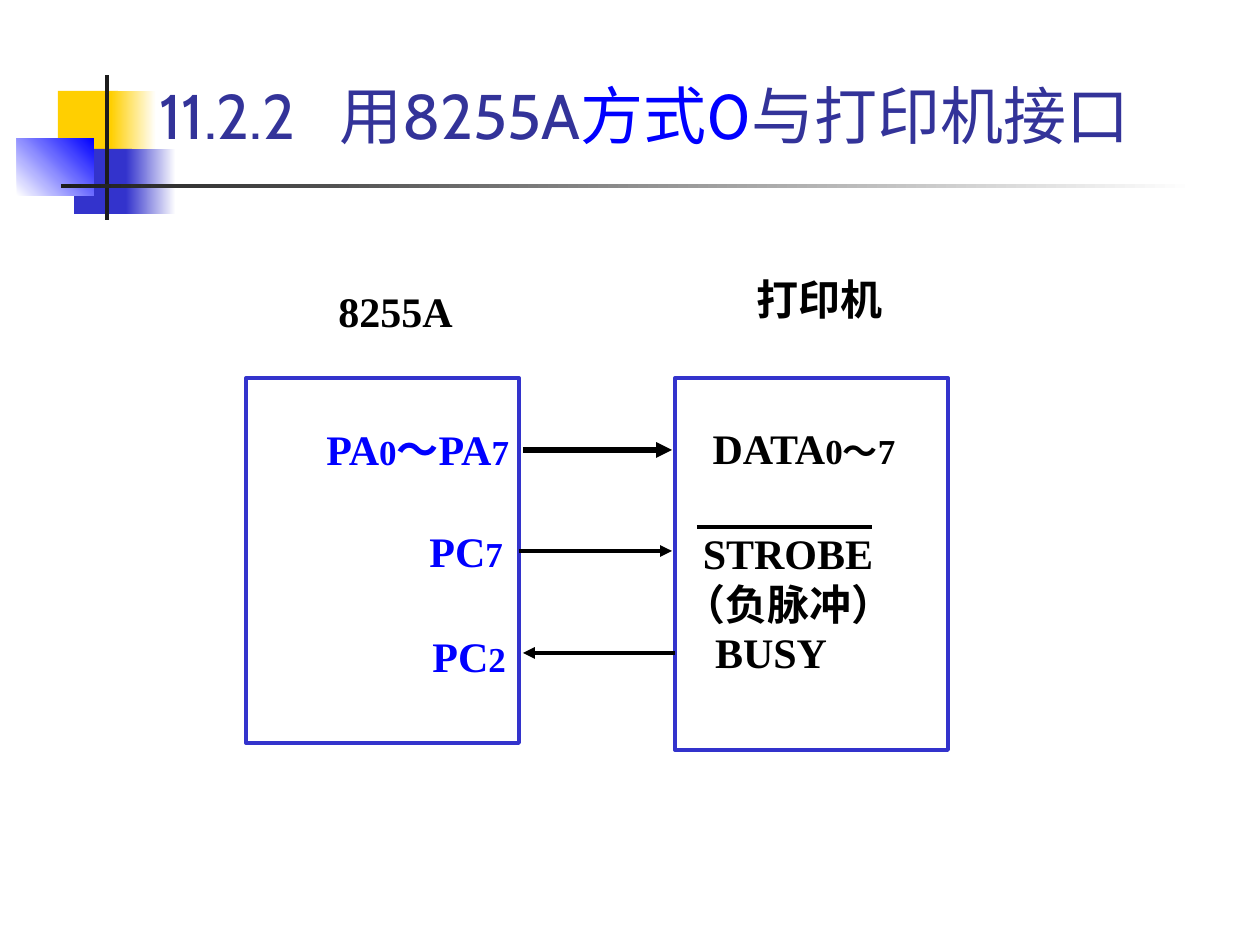
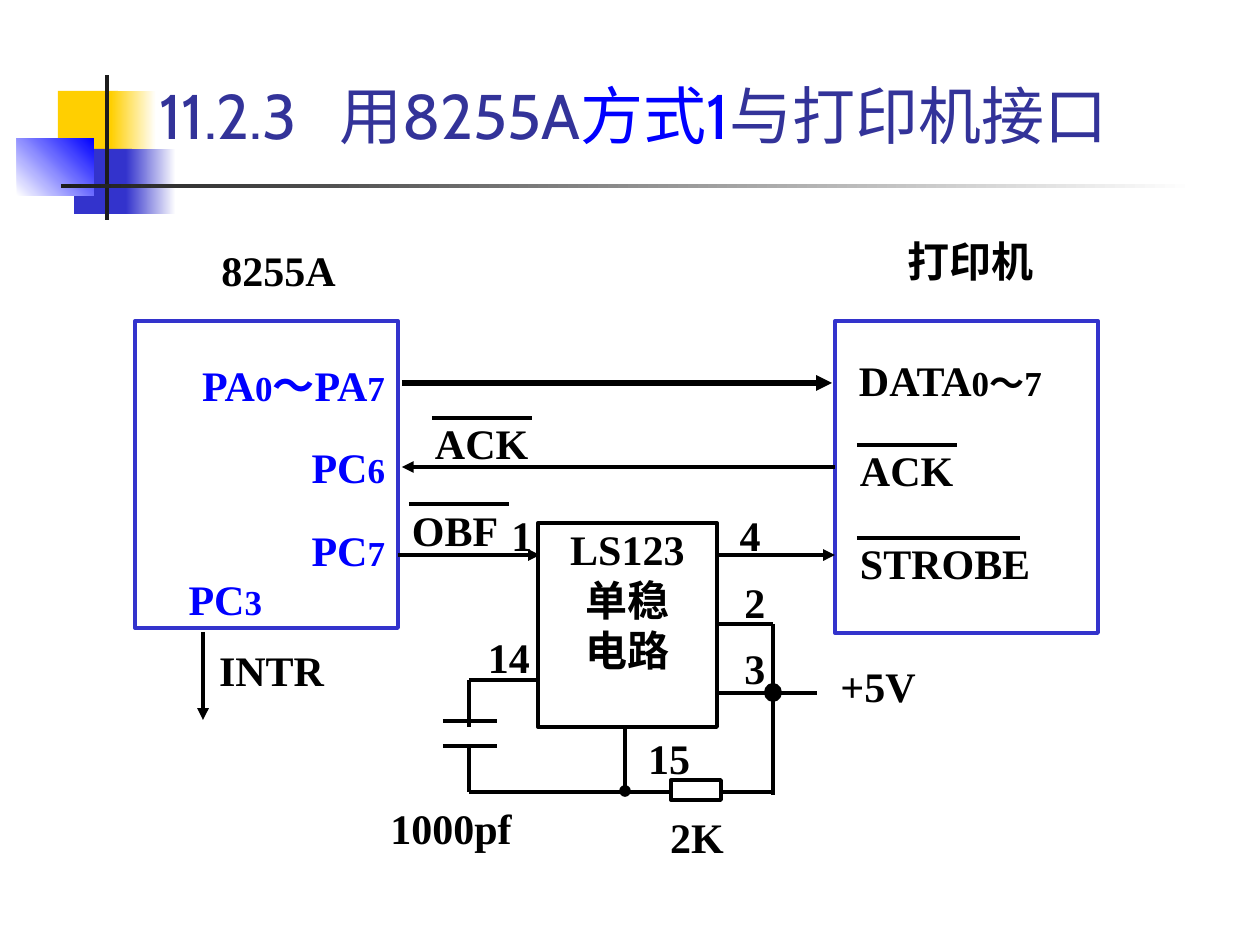
from lxml import etree
from pptx import Presentation
from pptx.dml.color import RGBColor
from pptx.enum.shapes import MSO_CONNECTOR, MSO_SHAPE
from pptx.enum.text import MSO_ANCHOR, PP_ALIGN
from pptx.oxml.ns import qn
from pptx.util import Emu, Pt

BLACK, WHITE, INK = "000000", "FFFFFF", "1C1C1C"
YELLOW, INDIGO, BLUE, NAVY = "FFCF01", "3333CC", "0000FF", "333399"
LEFT, CENTER, RIGHT = PP_ALIGN.LEFT, PP_ALIGN.CENTER, PP_ALIGN.RIGHT
BODY_FONT, TITLE_FONT = "Times New Roman", "Cabin"
BIG, SMALL = 24, 20
THIN, THICK = 2.25, 3

DATA = [("DATA", BIG), ("0～7", SMALL)]
PORT_A = [("PA", BIG), ("0", SMALL), ("～PA", BIG), ("7", SMALL)]


def px(n):
    return Emu(round(n * 914400 / 126))


def rgb(color):
    return RGBColor.from_string(color)


def port_c(bit):
    return [("PC", BIG), (bit, SMALL)]


def add_shape(s, x, y, w, h, fill=None, line=None, kind=MSO_SHAPE.RECTANGLE):
    """Fill is None, one colour, or (start, end, angle) for a gradient."""
    sp = s.shapes.add_shape(kind, px(x), px(y), px(w), px(h))
    sp.shadow.inherit = False
    if fill is None:
        sp.fill.background()
    elif isinstance(fill, tuple):
        start, end, angle = fill
        sp.fill.gradient()
        sp.fill.gradient_angle = angle
        for stop, color in zip(sp.fill.gradient_stops, (start, end)):
            stop.color.rgb = rgb(color)
    else:
        sp.fill.solid()
        sp.fill.fore_color.rgb = rgb(fill)
    if line:
        sp.line.color.rgb = rgb(line)
        sp.line.width = Pt(THIN)
    else:
        sp.line.fill.background()
    return sp


def add_run(p, text, size, color, font=BODY_FONT, bold=True):
    r = p.add_run()
    r.text = text
    r.font.name, r.font.size, r.font.bold = font, Pt(size), bold
    r.font.color.rgb = rgb(color)


def write(sp, paragraphs, align, color=BLACK):
    """Each paragraph is a string or a list of (text, size)."""
    tf = sp.text_frame
    tf.word_wrap = True
    tf.vertical_anchor = MSO_ANCHOR.TOP
    tf.margin_left = tf.margin_right = tf.margin_top = tf.margin_bottom = px(1)
    for i, runs in enumerate(paragraphs):
        p = tf.add_paragraph() if i else tf.paragraphs[0]
        p.alignment = align
        for text, size in [(runs, BIG)] if isinstance(runs, str) else runs:
            add_run(p, text, size, color)


def add_label(s, x, y, w, h, *paragraphs, align=CENTER, color=BLACK):
    write(s.shapes.add_textbox(px(x), px(y), px(w), px(h)), paragraphs, align, color)


def add_line(s, x1, y1, x2, y2, width=THIN, end=None):
    cn = s.shapes.add_connector(MSO_CONNECTOR.STRAIGHT, px(x1), px(y1), px(x2), px(y2))
    cn.line.color.rgb = rgb(BLACK)
    cn.line.width = Pt(width)
    if end:
        tail = etree.SubElement(cn.line._get_or_add_ln(), qn("a:tailEnd"))
        tail.set("type", end)
    etree.SubElement(cn._element.spPr, qn("a:effectLst"))


def add_arrow(s, x1, x2, y, width=THIN):
    add_line(s, x1, y, x2, y, width, "triangle")


def add_barred_signal(s, x, y, bar, name):
    """Active-low signal name under its overline."""
    add_label(s, x + 2, y - 1, 183, 79, name, align=LEFT)
    add_line(s, x, y, x + bar, y)


def add_decoration(s):
    for x, y, w, h, fill in [
        (58, 91, 60, 66, YELLOW),
        (111, 91, 45, 66, (YELLOW, WHITE, 0)),
        (74, 149, 58, 65, INDIGO),
        (126, 149, 50, 65, (INDIGO, WHITE, 0)),
        (17, 138, 77, 58, (WHITE, BLUE, 45)),
        (105, 75, 4, 145, INK),
        (61, 184, 1134, 4, (INK, WHITE, 0)),
    ]:
        add_shape(s, x, y, w, h, fill)


def add_title(s, number, mode):
    tf = s.shapes.add_textbox(px(147), px(42), px(1074), px(116)).text_frame
    tf.word_wrap = True
    tf.vertical_anchor = MSO_ANCHOR.BOTTOM
    p = tf.paragraphs[0]
    tabs = etree.SubElement(p._p.get_or_add_pPr(), qn("a:tabLst"))
    etree.SubElement(tabs, qn("a:tab"), pos=str(px(180)), algn="l")
    for text, color in [(f"{number}\t用8255A", NAVY), (mode, BLUE), ("与打印机接口", NAVY)]:
        add_run(p, text, 36, color, TITLE_FONT, False)


def new_slide(prs, number, mode):
    s = prs.slides.add_slide(prs.slide_layouts[6])
    add_decoration(s)
    add_title(s, number, mode)
    return s


def add_block(s, box, name, dx, dy):
    """Outlined device with its name dy above it, dx right of its centre."""
    x, y, w, h = box
    add_shape(s, x, y, w, h, line=INDIGO)
    add_label(s, x + dx, y - dy, w, 92, name)


def add_ports(s, box, ports):
    """Ports are (runs, right end, top, width) relative to the box."""
    x, y = box[:2]
    for runs, right, top, w in ports:
        add_label(s, x + right - w, y + top, w, 80, runs, align=RIGHT, color=BLUE)


def add_monostable(s, box):
    x, y, w, h = box
    write(add_shape(s, x, y, w, h, line=BLACK), ["LS123", "单稳", "电路"], CENTER)

    for text, dx, dy in [
        ("1", -88, -15), ("4", 140, -15), ("2", 145, 53), ("3", 145, 118),
        ("14", -101, 107), ("15", 59, 209), ("2K", 87, 287), ("1000pf", -159, 278),
    ]:
        add_label(s, x + dx, y + dy, 144, 47, text)
    add_label(s, x + 275, y + 136, 130, 96, "+5V")

    cap, supply, bottom = -69, 235, 269
    for x1, y1, x2, y2 in [
        (cap, 157, 0, 157), (cap, 157, cap, 204),
        (cap - 26, 198, cap + 28, 198), (cap - 26, 223, cap + 28, 223),
        (cap, 223, cap, bottom), (cap, bottom, 133, bottom),
        (183, bottom, supply, bottom), (supply, 101, supply, 272),
        (w, 101, supply, 101), (w, 170, 279, 170),
    ]:
        add_line(s, x + x1, y + y1, x + x2, y + y2)
    add_line(s, x + 87, y + h, x + 87, y + bottom - 1, end="oval")
    add_shape(s, x + 133, y + 257, 50, 20, line=BLACK)
    add_shape(s, x + supply - 7, y + 162, 14, 15, BLACK, BLACK, MSO_SHAPE.OVAL)


def build_mode_0(prs):
    s = new_slide(prs, "11.2.2", "方式0")
    chip, printer = (246, 378, 273, 365), (675, 378, 273, 372)
    add_block(s, chip, "8255A", 13, 93)
    add_ports(s, chip, [
        (PORT_A, 264, 44, 247),
        (port_c("7"), 258, 146, 190),
        (port_c("2"), 261, 251, 190),
    ])

    x, y = printer[:2]
    add_block(s, printer, "打印机", 8, 105)
    add_label(s, x - 16, y + 43, 290, 93, DATA)
    add_label(s, x - 3, y + 149, 232, 100, "STROBE", "（负脉冲）")
    add_line(s, x + 22, y + 149, x + 197, y + 149)
    add_label(s, x - 20, y + 248, 232, 66, "BUSY")

    edge = chip[0] + chip[2]
    add_arrow(s, edge + 4, x - 3, y + 72, THICK)
    add_arrow(s, edge, x - 3, y + 173)
    add_arrow(s, x, edge + 4, y + 275)


def build_mode_1(prs):
    s = new_slide(prs, "11.2.3", "方式1")
    chip, printer = (135, 321, 263, 307), (835, 321, 263, 312)
    timer = (538, 523, 179, 204)
    add_block(s, chip, "8255A", 12, 78)
    add_ports(s, chip, [
        (PORT_A, 251, 37, 238),
        (port_c("6"), 251, 119, 183),
        (port_c("7"), 251, 202, 183),
        (port_c("3"), 128, 251, 183),
    ])

    x, y = printer[:2]
    add_block(s, printer, "打印机", 4, 87)
    add_label(s, x + 23, y + 33, 281, 79, DATA, align=LEFT)
    add_barred_signal(s, x + 22, y + 124, 100, "ACK")
    add_barred_signal(s, x + 22, y + 217, 163, "STROBE")

    edge = chip[0] + chip[2]
    add_barred_signal(s, edge + 34, y + 97, 100, "ACK")
    add_barred_signal(s, edge + 11, y + 183, 100, "OBF")
    add_arrow(s, edge + 4, x - 3, y + 62, THICK)
    add_arrow(s, x, edge + 4, y + 146)
    add_arrow(s, edge, timer[0] + 2, y + 234)
    add_arrow(s, timer[0] + timer[2], x, y + 234)

    bottom = chip[1] + chip[3]
    add_line(s, chip[0] + 68, bottom + 4, chip[0] + 68, bottom + 92, end="triangle")
    add_label(s, chip[0] + 83, bottom + 15, 183, 79, "INTR", align=LEFT)
    add_monostable(s, timer)


def main():
    prs = Presentation()
    prs.slide_width, prs.slide_height = px(1260), px(945)
    build_mode_0(prs)
    build_mode_1(prs)
    prs.save("out.pptx")


if __name__ == "__main__":
    main()
